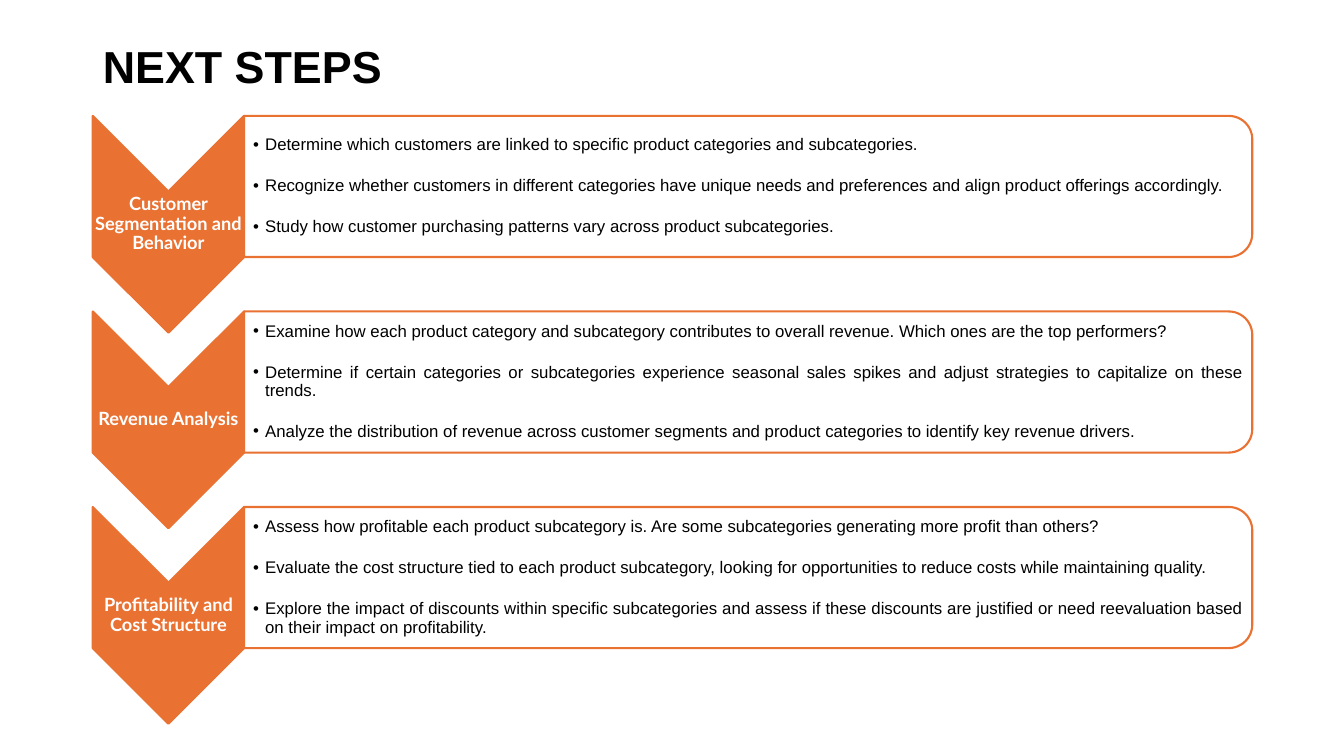
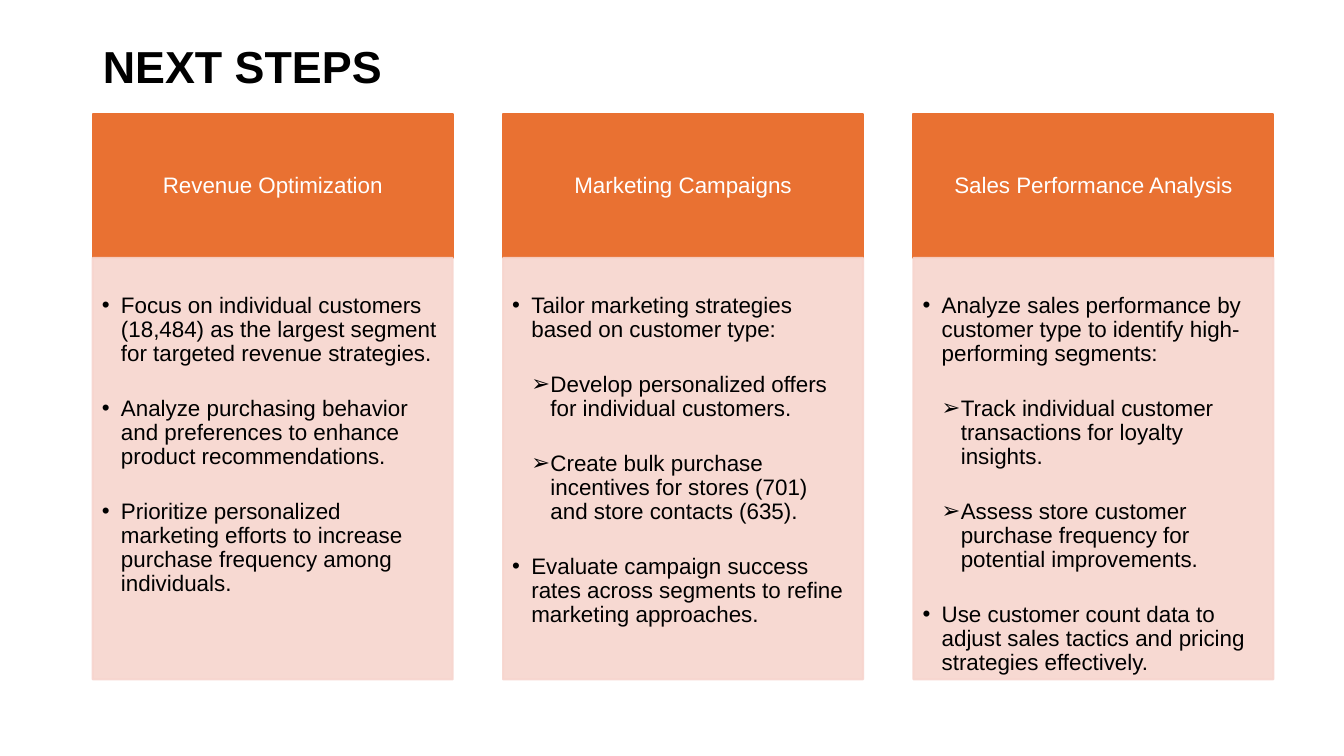
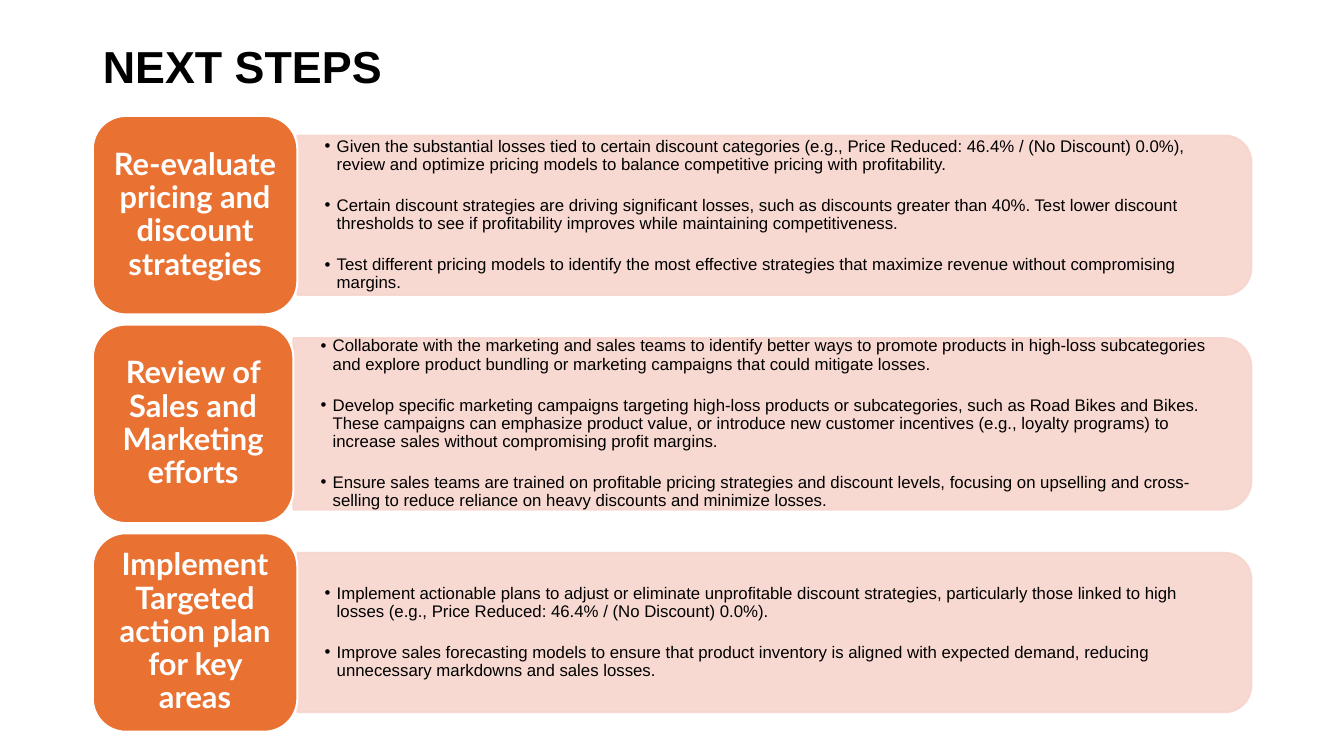
from lxml import etree
from pptx import Presentation
from pptx import util as u
from pptx.dml.color import RGBColor
from pptx.enum import shapes, text
from pptx.oxml import ns

ORANGE, BLUSH, WHITE, BLACK = "E97132", "F7D5CE", "FFFFFF", "000000"
LEFT = 0.92
MARKS = {1: "•", 2: "➢"}
SHAPE, ALIGN, ANCHOR = shapes.MSO_SHAPE, text.PP_ALIGN, text.MSO_ANCHOR


def add_block(page, kind, left, top, width, height, fill, line, alpha=100, turned=False):
    """Add a filled shape; left, top, width and height are as seen, even when turned by 90°."""
    if turned:
        left, top = left + (width - height) / 2, top + (height - width) / 2
        width, height = height, width
    block = page.shapes.add_shape(kind, *map(u.Inches, (left, top, width, height)))
    block.rotation = 90 if turned else 0
    block.shadow.inherit = False
    block.fill.solid()
    block.fill.fore_color.rgb = RGBColor.from_string(fill)
    block.line.color.rgb = RGBColor.from_string(line)
    block.line.width = u.Pt(1.5)
    if alpha < 100:
        for colour in block._element.spPr.iter(ns.qn("a:srgbClr")):
            if colour.get("val") == fill:
                etree.SubElement(colour, ns.qn("a:alpha"), val=str(alpha * 1000))
    return block


def write(box, items, size, font, colour, insets, align=ALIGN.LEFT, anchor=ANCHOR.MIDDLE,
          bold=False, indent=0, gap=0):
    """Fill a box with (level, text) items; level 0 has no bullet."""
    frame = box.text_frame
    frame.word_wrap = True
    frame.auto_size = text.MSO_AUTO_SIZE.NONE
    frame.vertical_anchor = anchor
    frame.margin_left, frame.margin_top, frame.margin_right, frame.margin_bottom = map(u.Inches, insets)
    for index, (level, words) in enumerate(items):
        para = frame.add_paragraph() if index else frame.paragraphs[0]
        para.text = words
        if level:
            props = para._p.get_or_add_pPr()
            props.set("marL", str(u.Inches(indent * level)))
            props.set("indent", str(-u.Inches(indent)))
            etree.SubElement(props, ns.qn("a:buFont"), typeface="Arial")
            etree.SubElement(props, ns.qn("a:buChar"), char=MARKS[level])
        para.alignment = align
        para.line_spacing = 0.9
        para.space_before = u.Pt(0)
        para.space_after = u.Pt(gap if index < len(items) - 1 else 0)
        para.font.size = u.Pt(size)
        para.font.name = font
        para.font.bold = bold
        para.font.color.rgb = RGBColor.from_string(colour)


deck = Presentation()
deck.slide_width, deck.slide_height = u.Inches(13.33), u.Inches(7.5)

# Three pages with the same title
pages = []
for _ in range(3):
    page = deck.slides.add_slide(deck.slide_layouts[5])
    title = page.shapes.title
    title.left, title.top, title.width, title.height = map(u.Inches, (LEFT, 0.22, 11.5, 0.93))
    write(title, [(0, "NEXT STEPS")], 32, "Arial", BLACK, (0.1, 0.05, 0.1, 0.05), bold=True)
    pages.append(page)
chevron_page, column_page, tile_page = pages

# Page 1: chevrons with outlined bands
chevron_rows = [
    ("Customer Segmentation and Behavior", [
        "Determine which customers are linked to specific product categories and subcategories.",
        "Recognize whether customers in different categories have unique needs and preferences and align product offerings accordingly.",
        "Study how customer purchasing patterns vary across product subcategories."]),
    ("Revenue Analysis", [
        "Examine how each product category and subcategory contributes to overall revenue. Which ones are the top performers?",
        "Determine if certain categories or subcategories experience seasonal sales spikes and adjust strategies to capitalize on these trends.",
        "Analyze the distribution of revenue across customer segments and product categories to identify key revenue drivers."]),
    ("Profitability and Cost Structure", [
        "Assess how profitable each product subcategory is. Are some subcategories generating more profit than others?",
        "Evaluate the cost structure tied to each product subcategory, looking for opportunities to reduce costs while maintaining quality.",
        "Explore the impact of discounts within specific subcategories and assess if these discounts are justified or need reevaluation based on their impact on profitability."]),
]
chevron_width, chevron_height, band_height = 1.5, 2.15, 1.4
for row, (heading, points) in enumerate(chevron_rows):
    top = 1.15 + 1.94 * row
    chevron = (LEFT, top, chevron_width, chevron_height)
    add_block(chevron_page, SHAPE.CHEVRON, *chevron, ORANGE, ORANGE, turned=True)
    label = chevron_page.shapes.add_textbox(*map(u.Inches, chevron))
    write(label, [(0, heading)], 13, "Lato", WHITE, [0.01] * 4, ALIGN.CENTER, bold=True)
    band = (LEFT + chevron_width, top, 10, band_height)
    add_block(chevron_page, SHAPE.ROUND_2_SAME_RECTANGLE, *band, WHITE, ORANGE, 90, turned=True)
    body = chevron_page.shapes.add_textbox(*map(u.Inches, band))
    write(body, [(1, point) for point in points], 12, "Arial", BLACK, (0.09, 0.01, 0.08, 0.01),
          ALIGN.JUSTIFY, indent=0.12, gap=16.4)

# Page 2: three columns with header and body
columns = [
    ("Revenue Optimization", [
        (1, "Focus on individual customers (18,484) as the largest segment for targeted revenue strategies."),
        (1, "Analyze purchasing behavior and preferences to enhance product recommendations."),
        (1, "Prioritize personalized marketing efforts to increase purchase frequency among individuals.")]),
    ("Marketing Campaigns", [
        (1, "Tailor marketing strategies based on customer type:"),
        (2, "Develop personalized offers for individual customers."),
        (2, "Create bulk purchase incentives for stores (701) and store contacts (635)."),
        (1, "Evaluate campaign success rates across segments to refine marketing approaches.")]),
    ("Sales Performance Analysis", [
        (1, "Analyze sales performance by customer type to identify high-performing segments:"),
        (2, "Track individual customer transactions for loyalty insights."),
        (2, "Assess store customer purchase frequency for potential improvements."),
        (1, "Use customer count data to adjust sales tactics and pricing strategies effectively.")]),
]
column_width, column_gap, header_top, header_height = 3.57, 0.5, 1.13, 1.43
for column, (heading, items) in enumerate(columns):
    left = LEFT + column * (column_width + column_gap)
    header = add_block(column_page, SHAPE.RECTANGLE, left, header_top, column_width, header_height,
                       ORANGE, ORANGE)
    write(header, [(0, heading)], 16, "Arial", WHITE, (0.12, 0.07, 0.12, 0.07), ALIGN.CENTER)
    body = add_block(column_page, SHAPE.RECTANGLE, left, header_top + header_height, column_width, 4.18,
                     BLUSH, BLUSH, 90)
    write(body, items, 16, "Arial", BLACK, (0.09, 0.36, 0.12, 0.14), anchor=ANCHOR.TOP,
          indent=0.19, gap=21.7)

# Page 3: rounded tiles with tinted bands
tile_rows = [
    ("Re-evaluate pricing and discount strategies", 2.03, 1.58, [
        "Given the substantial losses tied to certain discount categories (e.g., Price Reduced: 46.4% / (No Discount) 0.0%), review and optimize pricing models to balance competitive pricing with profitability.",
        "Certain discount strategies are driving significant losses, such as discounts greater than 40%. Test lower discount thresholds to see if profitability improves while maintaining competitiveness.",
        "Test different pricing models to identify the most effective strategies that maximize revenue without compromising margins."]),
    ("Review of Sales and Marketing efforts", 1.99, 1.7, [
        "Collaborate with the marketing and sales teams to identify better ways to promote products in high-loss subcategories and explore product bundling or marketing campaigns that could mitigate losses.",
        "Develop specific marketing campaigns targeting high-loss products or subcategories, such as Road Bikes and Bikes. These campaigns can emphasize product value, or introduce new customer incentives (e.g., loyalty programs) to increase sales without compromising profit margins.",
        "Ensure sales teams are trained on profitable pricing strategies and discount levels, focusing on upselling and cross-selling to reduce reliance on heavy discounts and minimize losses."]),
    ("Implement Targeted action plan for key areas", 2.03, 1.58, [
        "Implement actionable plans to adjust or eliminate unprofitable discount strategies, particularly those linked to high losses (e.g., Price Reduced: 46.4% / (No Discount) 0.0%).",
        "Improve sales forecasting models to ensure that product inventory is aligned with expected demand, reducing unnecessary markdowns and sales losses."]),
]
tile_height, band_right = 1.97, 12.41
for row, (heading, tile_width, band_height, points) in enumerate(tile_rows):
    top = 1.15 + 2.07 * row
    band_left = LEFT + tile_width
    band = (band_left, top + (tile_height - band_height) / 2, band_right - band_left, band_height)
    add_block(tile_page, SHAPE.ROUND_2_SAME_RECTANGLE, *band, BLUSH, BLUSH, 90, turned=True)
    body = tile_page.shapes.add_textbox(*map(u.Inches, band))
    write(body, [(1, point) for point in points], 12, "Arial", BLACK, (0.27, 0.14, 0.35, 0.14),
          indent=0.12, gap=16.4)
    tile = add_block(tile_page, SHAPE.ROUNDED_RECTANGLE, LEFT, top, tile_width, tile_height, ORANGE, WHITE)
    write(tile, [(0, heading)], 22, "Lato", WHITE, (0.09, 0.05, 0.09, 0.05), ALIGN.CENTER, bold=True)

deck.save("out.pptx")
